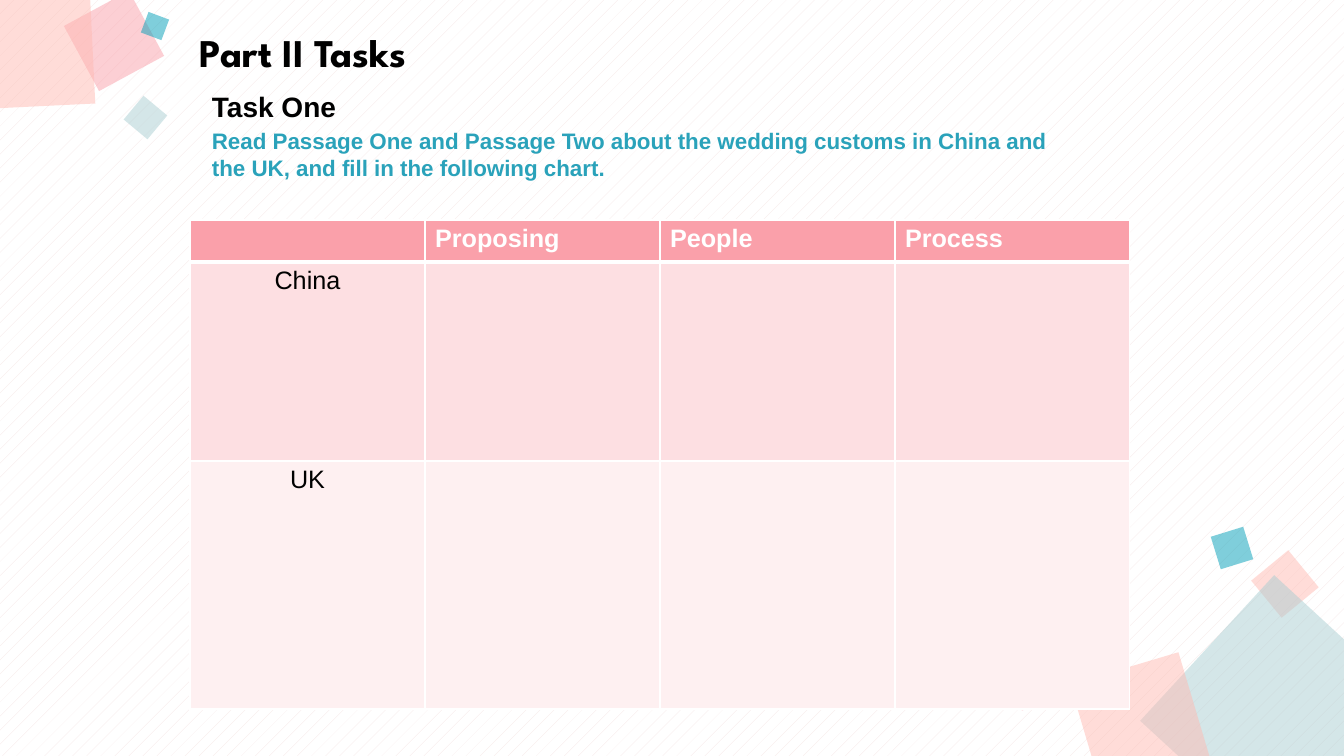
"""Build the wedding customs task slide with its fill-in chart."""
from lxml.etree import SubElement
from pptx import Presentation
from pptx.dml.color import RGBColor
from pptx.enum.dml import MSO_PATTERN
from pptx.enum.shapes import MSO_SHAPE
from pptx.enum.text import MSO_ANCHOR, PP_ALIGN
from pptx.oxml.ns import qn
from pptx.util import Emu, Pt

EMU_PER_PX = 914400 / 100.8

BLACK = RGBColor(0x00, 0x00, 0x00)
WHITE = RGBColor(0xFF, 0xFF, 0xFF)
BLUSH = RGBColor(0xF5, 0xE5, 0xE4)
PEACH = RGBColor(0xFF, 0xBB, 0xB3)
SAGE = RGBColor(0xAA, 0xCE, 0xD2)
PINK = RGBColor(0xFA, 0xA0, 0xAA)
TEAL = RGBColor(0x00, 0x9F, 0xB8)
AQUA = RGBColor(0x2A, 0xA2, 0xBA)
ROSE = RGBColor(0xFD, 0xDF, 0xE2)
PALE_ROSE = RGBColor(0xFE, 0xF0, 0xF1)

CONFETTI = [
    (1261, 560, 48, 320.6, PEACH),
    (1181, 616, 198, 42.6, SAGE),
    (1084, 666, 113, 343.4, PEACH),
    (1017, 678, 29, 342.8, PINK),
    (1215, 531, 34, 342.8, TEAL),
    (77, 4, 74, 331.6, PINK),
    (-47, -32, 139, 357.2, PEACH),
    (130, 102, 31, 309.8, SAGE),
    (144, 15, 22, 290.5, TEAL),
]

TITLE_FONT = {"name": "League Spartan", "size": Pt(28), "bold": True}
TASK_FONT = {"name": "Arial", "size": Pt(20), "bold": True}
INSTRUCTION_FONT = {"name": "Arial", "size": Pt(16), "bold": True}
HEADING_FONT = {"name": "Arial", "size": Pt(18), "bold": True}
COUNTRY_FONT = {"name": "Arial", "size": Pt(18), "bold": False}

INSTRUCTION = [
    "Read Passage One and Passage Two about the wedding customs in China and",
    "the UK, and fill in the following chart.",
]
CUSTOMS = [
    ["", "Proposing", "People", "Process"],
    ["China", "", "", ""],
    ["UK", "", "", ""],
]
ROW_HEIGHTS = [42, 199, 248]
ROW_FILLS = [PINK, ROSE, PALE_ROSE]
COLUMN_WIDTH = 235


def px(length):
    """Turn pixels into EMU."""
    return Emu(round(length * EMU_PER_PX))


def format_paragraph(paragraph, font_format, color, paragraph_format):
    """Apply font and paragraph values to one paragraph."""
    for target, values in ((paragraph.font, font_format), (paragraph, paragraph_format)):
        for attribute, value in values.items():
            setattr(target, attribute, value)
    paragraph.font.color.rgb = color


def add_square(slide, left, top, side, rotation, color):
    """Add a half-transparent rotated square."""
    square = slide.shapes.add_shape(
        MSO_SHAPE.RECTANGLE, px(left), px(top), px(side), px(side))
    square.rotation = rotation
    square.shadow.inherit = False
    square.line.fill.background()
    square.fill.solid()
    square.fill.fore_color.rgb = color
    tint = square.fill._xPr.find(qn("a:solidFill"))[0]
    SubElement(tint, qn("a:alpha"), val="50000")


def add_text(slide, box, lines, font_format, color, anchor=MSO_ANCHOR.TOP, **paragraph_format):
    """Add a wrapped text box with one paragraph per line."""
    frame = slide.shapes.add_textbox(*map(px, box)).text_frame
    frame.word_wrap = True
    frame.vertical_anchor = anchor
    frame.text = "\n".join(lines)
    for paragraph in frame.paragraphs:
        format_paragraph(paragraph, font_format, color, paragraph_format)


def add_borders(cell, top, bottom):
    """Draw white cell borders, with top and bottom widths in points."""
    properties = cell._tc.get_or_add_tcPr()
    for side, width in (("L", 1), ("R", 1), ("T", top), ("B", bottom)):
        border = SubElement(properties, qn(f"a:ln{side}"), w=str(Pt(width)))
        fill = SubElement(border, qn("a:solidFill"))
        SubElement(fill, qn("a:srgbClr"), val=str(WHITE))


def add_customs_table(slide, left, top):
    """Add the customs chart with its heading row and country rows."""
    columns = len(CUSTOMS[0])
    table = slide.shapes.add_table(
        len(CUSTOMS), columns, px(left), px(top),
        px(COLUMN_WIDTH * columns), px(sum(ROW_HEIGHTS))).table
    table.horz_banding = False
    for column in table.columns:
        column.width = px(COLUMN_WIDTH)
    for index, labels in enumerate(CUSTOMS):
        table.rows[index].height = px(ROW_HEIGHTS[index])
        heading = index == 0
        for column, label in enumerate(labels):
            cell = table.cell(index, column)
            add_borders(cell, 3 if index == 1 else 1, 3 if heading else 1)
            cell.fill.solid()
            cell.fill.fore_color.rgb = ROW_FILLS[index]
            cell.text = label
            format_paragraph(
                cell.text_frame.paragraphs[0],
                HEADING_FONT if heading else COUNTRY_FONT,
                WHITE if heading else BLACK,
                {"alignment": PP_ALIGN.LEFT if heading else PP_ALIGN.CENTER})


def main():
    """Build and save the slide."""
    presentation = Presentation()
    presentation.slide_width, presentation.slide_height = px(1344), px(756)
    slide = presentation.slides.add_slide(presentation.slide_layouts[6])
    backdrop = slide.background.fill
    backdrop.patterned()
    backdrop.pattern = MSO_PATTERN.PERCENT_5
    backdrop.fore_color.rgb = BLUSH
    backdrop.back_color.rgb = WHITE
    for square in CONFETTI:
        add_square(slide, *square)
    add_text(slide, (190, 26, 617, 58), ["Part II Tasks"], TITLE_FONT, BLACK,
             MSO_ANCHOR.MIDDLE, line_spacing=0.9)
    add_text(slide, (202, 68, 950, 92), ["Task One"], TASK_FONT, BLACK, line_spacing=1.5)
    add_text(slide, (202, 122, 988, 65), INSTRUCTION, INSTRUCTION_FONT, AQUA,
             alignment=PP_ALIGN.JUSTIFY)
    add_customs_table(slide, 190, 220)
    presentation.save("out.pptx")


if __name__ == "__main__":
    main()
